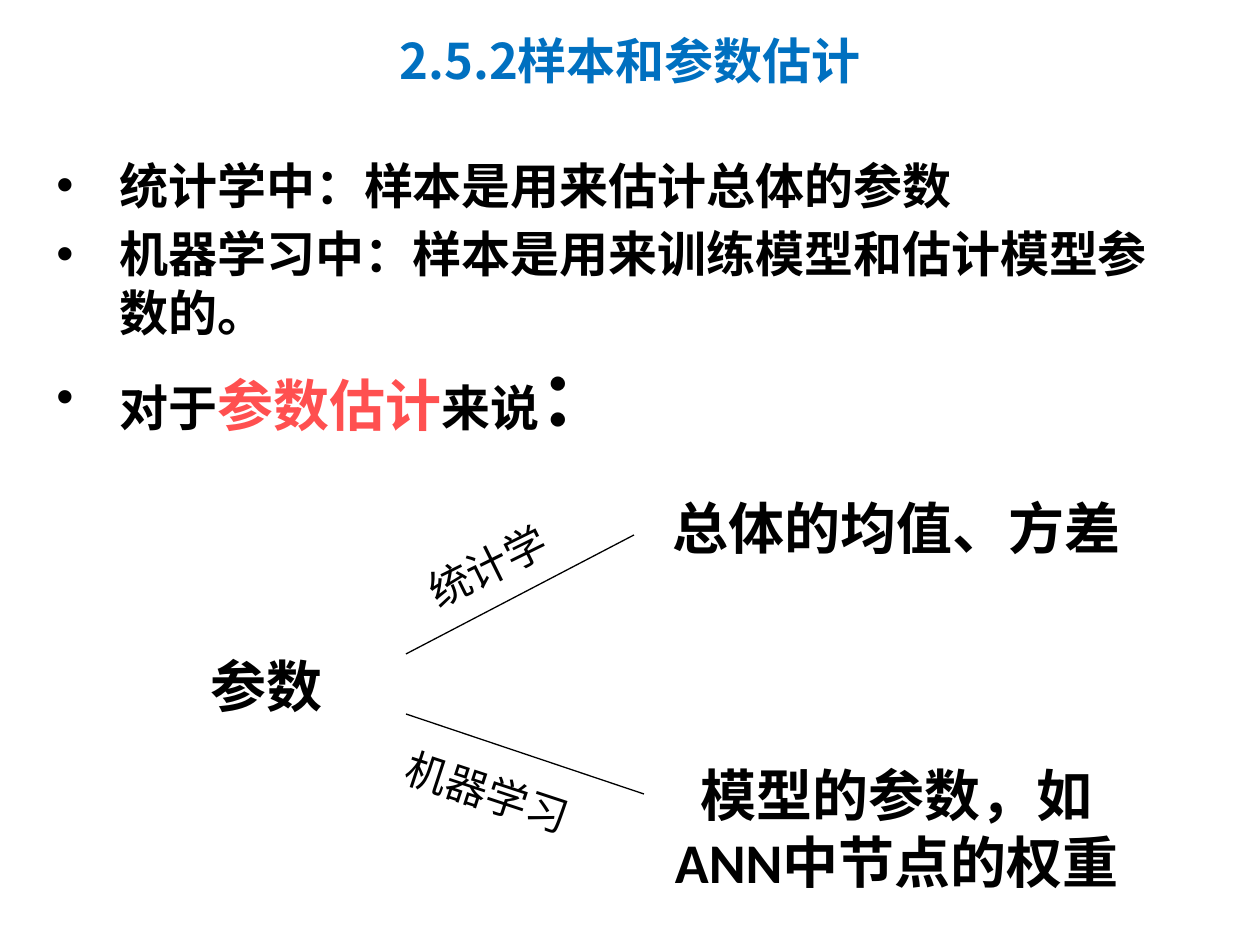
from lxml import etree
from pptx import Presentation
from pptx.dml.color import RGBColor
from pptx.enum.shapes import MSO_CONNECTOR
from pptx.enum.text import MSO_ANCHOR, PP_ALIGN
from pptx.oxml.ns import qn
from pptx.util import Emu, Pt

CENTER, LEFT = PP_ALIGN.CENTER, PP_ALIGN.LEFT
TOP = MSO_ANCHOR.TOP
STRAIGHT = MSO_CONNECTOR.STRAIGHT
PX = 914400 / 126


def px(*lengths):
    return [Emu(round(n * PX)) for n in lengths]


def style(r, size, color="000000", bold=True, font="Calibri"):
    r.font.size, r.font.bold, r.font.name = Pt(size), bold, font
    r.font.color.rgb = RGBColor.from_string(color)


prs = Presentation()
prs.slide_width, prs.slide_height = px(1260, 945)
s = prs.slides.add_slide(prs.slide_layouts[5])

# Title
title = s.shapes.title
title.left, title.top, title.width, title.height = px(0, 24, 1260, 72)
tf = title.text_frame
tf.text = "2.5.2样本和参数估计"
tf.vertical_anchor = TOP
p = tf.paragraphs[0]
p.alignment = CENTER
style(p.runs[0], 28, "0070C0", font="Noto Sans CJK SC")

# Bulleted statements: (text, size, colour) for each run
bullets = [
    [("统计学中：样本是用来估计总体的参数", 28, "000000")],
    [("机器学习中：样本是用来训练模型和估计模型参数的。", 28, "000000")],
    [("对于", 28, "000000"), ("参数估计", 32, "FF5050"),
     ("来说", 28, "000000"), ("：", 43, "000000")],
]
tf = s.shapes.add_textbox(*px(44, 149, 1152, 716)).text_frame
tf.word_wrap = True
for i, runs in enumerate(bullets):
    p = tf.add_paragraph() if i else tf.paragraphs[0]
    p.space_before = Pt(5.6)
    pPr = p._p.get_or_add_pPr()
    indent = px(63)[0]
    pPr.set("marL", str(indent))
    pPr.set("indent", str(-indent))
    etree.SubElement(pPr, qn("a:buFont")).set("typeface", "Arial")
    etree.SubElement(pPr, qn("a:buChar")).set("char", "•")
    for text, size, color in runs:
        r = p.add_run()
        r.text = text
        style(r, size, color)

# Branches from the parameter to its two meanings
for x1, y1, x2, y2 in [(406, 654, 634, 535), (406, 714, 644, 794)]:
    line = s.shapes.add_connector(STRAIGHT, *px(x1, y1, x2, y2))
    line.line.color.rgb = RGBColor.from_string("000000")
    line.line.width = Pt(0.75)
    etree.SubElement(line._element.spPr, qn("a:effectLst"))

# Tree labels: text, box, size, bold, alignment, wrap, rotation
labels = [
    ("参数", (128, 645, 278, 81), 32, True, CENTER, True, 0),
    ("总体的均值、方差", (654, 487, 486, 81), 32, True, CENTER, True, 0),
    ("模型的参数，如ANN中节点的权重", (654, 754, 486, 149), 32, True, CENTER, True, 0),
    ("统计学", (412, 534, 152, 63), 24, False, LEFT, False, 333.7),
    ("机器学习", (391, 761, 195, 63), 24, False, LEFT, False, 18.3),
]
for text, box, size, bold, align, wrap, rotation in labels:
    sp = s.shapes.add_textbox(*px(*box))
    sp.rotation = rotation
    tf = sp.text_frame
    tf.text = text
    tf.word_wrap = wrap
    p = tf.paragraphs[0]
    p.alignment = align
    style(p.runs[0], size, bold=bold)

prs.save("out.pptx")
